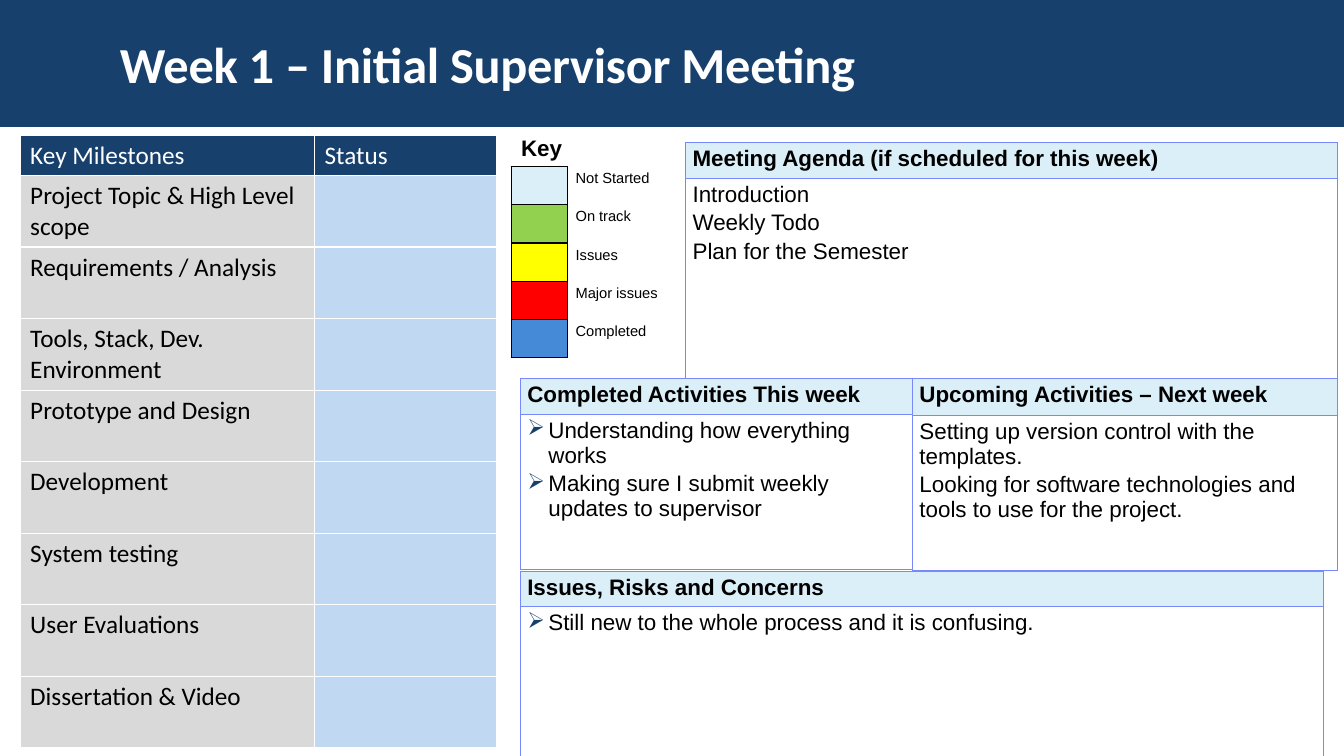
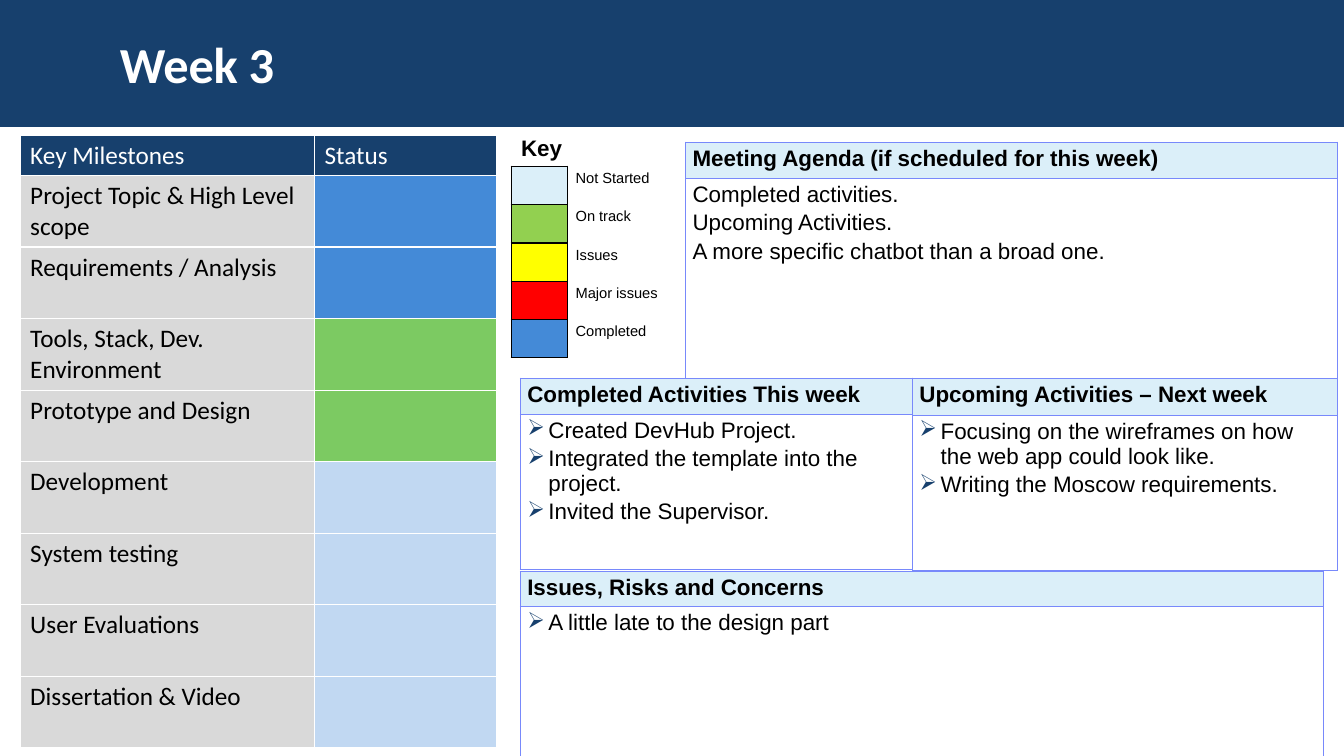
from lxml.etree import SubElement
from pptx import Presentation
from pptx.dml.color import RGBColor
from pptx.enum.shapes import MSO_SHAPE
from pptx.enum.text import MSO_ANCHOR
from pptx.oxml.ns import qn
from pptx.util import Emu, Pt

NAVY = RGBColor(0x17, 0x40, 0x6D)
WHITE = RGBColor(0xFF, 0xFF, 0xFF)
BLACK = RGBColor(0x00, 0x00, 0x00)
GREY = RGBColor(0xD9, 0xD9, 0xD9)
ICE = RGBColor(0xDB, 0xEF, 0xF9)
PALE = RGBColor(0xC1, 0xD8, 0xF2)
LIME = RGBColor(0x92, 0xD0, 0x50)
GREEN = RGBColor(0x7C, 0xCA, 0x62)
YELLOW = RGBColor(0xFF, 0xFF, 0x00)
RED = RGBColor(0xFF, 0x00, 0x00)
BLUE = RGBColor(0x44, 0x8A, 0xD7)
VIOLET = RGBColor(0x78, 0x89, 0xFB)

WIDE, HIGH, BAND = 1333, 750, 126
LEFT, MID, RIGHT = 516, 905, 1326  # edges of the activity panels

STAGES = ["Project Topic & High Level scope", "Requirements / Analysis",
          "Tools, Stack, Dev. Environment", "Prototype and Design",
          "Development", "System testing", "User Evaluations",
          "Dissertation & Video"]
LEGEND = [("Not Started", ICE), ("On track", LIME), ("Issues", YELLOW),
          ("Major issues", RED), ("Completed", BLUE)]

# Panel: heading, left, top, width, row heights
PANELS = {
    "done": ("Completed Activities This week", LEFT, 375, MID - LEFT, (36, 154)),
    "agenda": ("Meeting Agenda (if scheduled for this week)",
               680, 141, RIGHT - 680, (36, 198)),
    "risks": ("Issues, Risks and Concerns", LEFT, 567, 797, (33, 151)),
    "next": ("Upcoming Activities – Next week", MID, 375, RIGHT - MID, (37, 154)),
}

WEEKS = [
    {"title": "Week 1 – Initial Supervisor Meeting",
     "status": [PALE] * 8,
     "bullets": ("done", "risks"),
     "agenda": ["Introduction", "Weekly Todo", "Plan for the Semester"],
     "done": ["Understanding how everything works",
              "Making sure I submit weekly updates to supervisor"],
     "next": ["Setting up version control with the templates.",
              "Looking for software technologies and tools to use for the project."],
     "risks": ["Still new to the whole process and it is confusing."]},
    {"title": "Week 3",
     "status": [BLUE] * 2 + [GREEN] * 2 + [PALE] * 4,
     "bullets": ("done", "next", "risks"),
     "agenda": ["Completed activities.", "Upcoming Activities.",
                "A more specific chatbot than a broad one."],
     "done": ["Created DevHub Project.",
              "Integrated the template into the project.",
              "Invited the Supervisor."],
     "next": ["Focusing on the wireframes on how the web app could look like.",
              "Writing the Moscow requirements."],
     "risks": ["A little late to the design part"]},
]


def px(n):
    return Emu(n * 9144)


def style(para, size, face="Arial", color=BLACK, bold=False):
    for run in para.runs:
        font = run.font
        font.size, font.name, font.bold = Pt(size), face, bold
        font.color.rgb = color


def bullet(para):
    props = para._p.get_or_add_pPr()
    props.set("marL", str(px(21)))
    props.set("indent", str(-px(21)))
    tint = SubElement(props, qn("a:buClr"))
    SubElement(tint, qn("a:srgbClr"), val=str(NAVY))
    SubElement(props, qn("a:buChar"), char="➢")


def border(cell, color, width, sides="LRTB"):
    props = cell._tc.get_or_add_tcPr()
    for side in "LRTB":
        line = SubElement(props, qn("a:ln" + side), w=str(Pt(width)))
        if side in sides:
            fill = SubElement(line, qn("a:solidFill"))
            SubElement(fill, qn("a:srgbClr"), val=str(color))
        else:
            SubElement(line, qn("a:noFill"))


def paint(cell, color=None):
    if color is None:
        cell.fill.background()
    else:
        cell.fill.solid()
        cell.fill.fore_color.rgb = color


def pad(cell, side, edge):
    cell.margin_left = cell.margin_right = px(side)
    cell.margin_top = cell.margin_bottom = px(edge)


def grid(slide, x, y, cols, rows):
    frame = slide.shapes.add_table(len(rows), len(cols), px(x), px(y),
                                   px(sum(cols)), px(sum(rows)))
    table = frame.table
    table.first_row = table.horz_banding = False
    for col, width in zip(table.columns, cols):
        col.width = px(width)
    for row, height in zip(table.rows, rows):
        row.height = px(height)
    return table


def label(slide, text, x, y, w, h, size, face, color):
    frame = slide.shapes.add_textbox(px(x), px(y), px(w), px(h)).text_frame
    frame.word_wrap = True
    frame.text = text
    style(frame.paragraphs[0], size, face, color, True)
    return frame


def header(slide, title):
    band = slide.shapes.add_shape(MSO_SHAPE.RECTANGLE, 0, 0, px(WIDE), px(BAND))
    band.shadow.inherit = False
    band.fill.solid()
    band.fill.fore_color.rgb = NAVY
    band.line.fill.background()
    frame = label(slide, title, 109, 21, 1096, 83, 36, "Calibri", WHITE)
    frame.vertical_anchor = MSO_ANCHOR.MIDDLE
    frame.paragraphs[0].runs[0].font._element.set("spc", "-20")


def stages(slide, status):
    table = grid(slide, 20, 134, [292, 181], [40] + [71] * len(STAGES))
    rows = [("Key Milestones", "Status", NAVY, NAVY, WHITE)]
    rows += [(name, "", GREY, state, BLACK) for name, state in zip(STAGES, status)]
    for r, (name, state, left, right, ink) in enumerate(rows):
        for c, (text, fill) in enumerate([(name, left), (state, right)]):
            cell = table.cell(r, c)
            cell.text = text
            style(cell.text_frame.paragraphs[0], 18, "Calibri", ink)
            border(cell, WHITE, 1)
            paint(cell, fill)


def legend(slide):
    table = grid(slide, 507, 165, [56, 140], [38] * len(LEGEND))
    for r, (name, color) in enumerate(LEGEND):
        swatch, cell = table.cell(r, 0), table.cell(r, 1)
        pad(swatch, 0, 0)
        border(swatch, BLACK, 1)
        paint(swatch, color)
        cell.text = name
        style(cell.text_frame.paragraphs[0], 10.5)
        pad(cell, 8, 4)
        border(cell, BLACK, 1, "L")
        paint(cell)
    label(slide, "Key", 507, 128, 150, 37, 16, "Arial", BLACK)


def panel(slide, spot, items, marked):
    title, x, y, width, rows = spot
    table = grid(slide, x, y, [width], rows)
    for r, (lines, fill) in enumerate([([title], ICE), (items, None)]):
        cell = table.cell(r, 0)
        cell.text = "\n".join(lines)
        for para in cell.text_frame.paragraphs:
            if r and marked:
                bullet(para)
            para.space_after = Pt(2.4)
            style(para, 16, bold=r == 0)
        pad(cell, 7, 4)
        border(cell, VIOLET, 0.71)
        paint(cell, fill)


def main():
    deck = Presentation()
    deck.slide_width, deck.slide_height = px(WIDE), px(HIGH)
    for week in WEEKS:
        slide = deck.slides.add_slide(deck.slide_layouts[6])
        header(slide, week["title"])
        stages(slide, week["status"])
        legend(slide)
        for key, spot in PANELS.items():
            panel(slide, spot, week[key], key in week["bullets"])
    deck.save("out.pptx")


if __name__ == "__main__":
    main()
